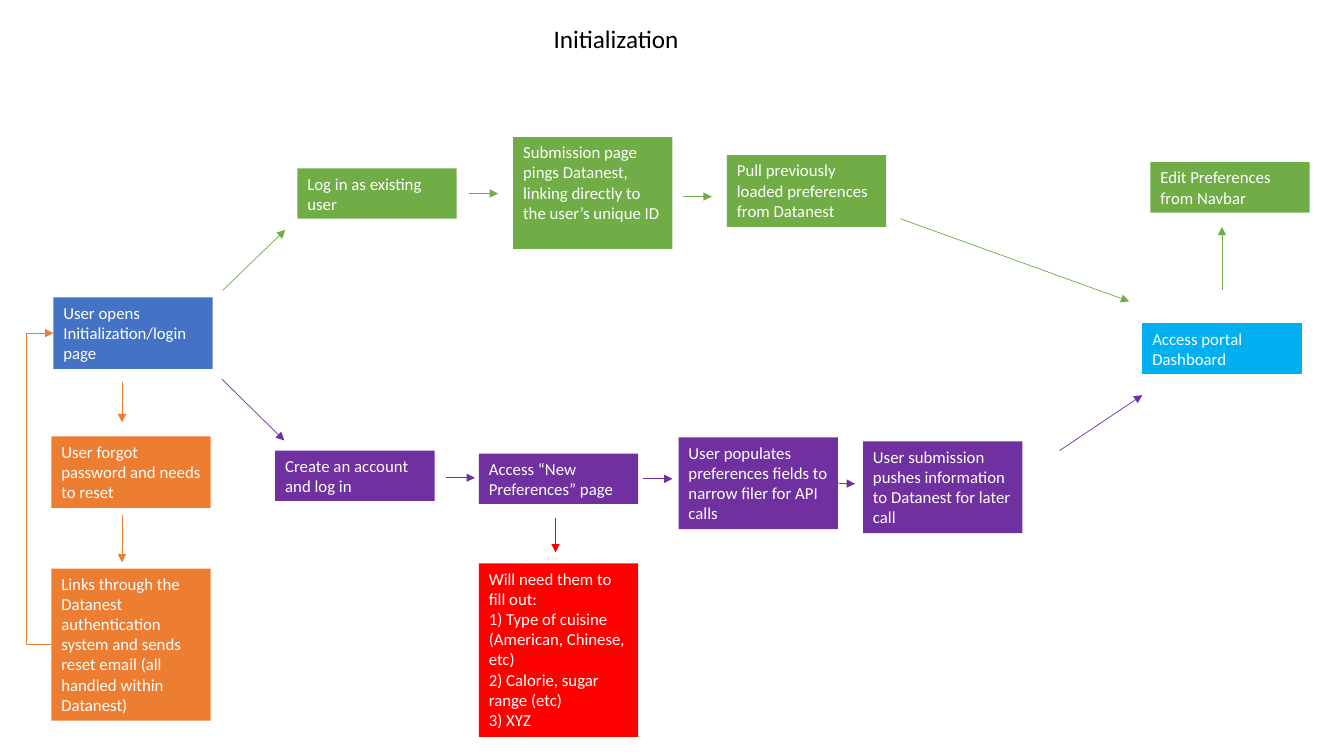
from lxml import etree
from pptx import Presentation
from pptx.dml.color import RGBColor
from pptx.enum.shapes import MSO_CONNECTOR, MSO_SHAPE
from pptx.enum.text import MSO_ANCHOR, PP_ALIGN
from pptx.oxml.ns import qn
from pptx.util import Inches, Pt

RECTANGLE = MSO_SHAPE.RECTANGLE
STRAIGHT, ELBOW = MSO_CONNECTOR.STRAIGHT, MSO_CONNECTOR.ELBOW
TOP, LEFT, CENTER = MSO_ANCHOR.TOP, PP_ALIGN.LEFT, PP_ALIGN.CENTER
LEFT_SIDE, RIGHT_SIDE = 1, 3
STEP_WIDTH = 1.58

COLORS = {
    "start": "4472C4",
    "existing": "70AD47",
    "new": "7030A0",
    "reset": "ED7D31",
    "required": "FF0000",
    "portal": "00B0F0",
    "white": "FFFFFF",
    "black": "000000",
}


def color(name):
    return RGBColor.from_string(COLORS[name])


def add_arrow(kind, branch, x1, y1, x2, y2):
    arrow = slide.shapes.add_connector(
        kind, Inches(x1), Inches(y1), Inches(x2), Inches(y2))
    arrow.line.color.rgb = color(branch)
    arrow.line.width = Pt(0.5)
    etree.SubElement(arrow.line._get_or_add_ln(), qn("a:tailEnd"), type="triangle")
    etree.SubElement(arrow._element.spPr, qn("a:effectLst"))
    return arrow


prs = Presentation()
prs.slide_width, prs.slide_height = Inches(13.33), Inches(7.5)
slide = prs.slides.add_slide(prs.slide_layouts[5])

# Title
title = slide.shapes.title
title.left, title.top = Inches(3.74), Inches(0.18)
title.width, title.height = Inches(4.74), Inches(0.4)
title.text_frame.text = "Initialization"
title.text_frame.vertical_anchor = TOP
heading = title.text_frame.paragraphs[0]
heading.alignment = CENTER
heading.font.name, heading.font.size = "Calibri", Pt(18)
heading.font.color.rgb = color("black")

# Steps: key, branch, left, top, height, text
steps = [
    ("open", "start", 0.53, 2.95, 0.71, "User opens Initialization/login page"),
    ("forgot", "reset", 0.51, 4.33, 0.71, "User forgot password and needs to reset"),
    ("email", "reset", 0.51, 5.64, 1.51,
     "Links through the Datanest authentication system and sends reset email "
     "(all handled within Datanest)"),
    ("login", "existing", 2.95, 1.67, 0.5, "Log in as existing user"),
    ("ping", "existing", 5.09, 1.36, 1.11,
     "Submission page pings Datanest, linking directly to the user’s unique ID"),
    ("pull", "existing", 7.21, 1.54, 0.71,
     "Pull previously loaded preferences from Datanest"),
    ("edit", "existing", 11.41, 1.61, 0.5, "Edit Preferences from Navbar"),
    ("create", "new", 2.73, 4.47, 0.5, "Create an account and log in"),
    ("preferences", "new", 4.75, 4.5, 0.5, "Access “New Preferences” page"),
    ("populate", "new", 6.73, 4.34, 0.91,
     "User populates preferences fields to narrow filer for API calls"),
    ("push", "new", 8.56, 4.38, 0.91,
     "User submission pushes information to Datanest for later call"),
    ("fields", "required", 4.75, 5.59, 1.72,
     "Will need them to fill out:\n1) Type of cuisine (American, Chinese, etc)\n"
     "2) Calorie, sugar range (etc)\n3) XYZ"),
    ("dashboard", "portal", 11.33, 3.21, 0.5, "Access portal Dashboard"),
]
step_boxes = {}
for key, branch, left, top, height, text in steps:
    box = slide.shapes.add_shape(
        RECTANGLE, Inches(left), Inches(top), Inches(STEP_WIDTH), Inches(height))
    box.shadow.inherit = False
    box.fill.solid()
    box.fill.fore_color.rgb = color(branch)
    box.line.fill.background()
    box.text_frame.word_wrap = True
    box.text_frame.vertical_anchor = TOP
    box.text_frame.text = text
    for paragraph in box.text_frame.paragraphs:
        paragraph.alignment = LEFT
        paragraph.font.name, paragraph.font.size = "Calibri", Pt(12)
        paragraph.font.color.rgb = color("white")
    step_boxes[key] = box

dashboard_outline = step_boxes["dashboard"].line
dashboard_outline.color.rgb = color("portal")
dashboard_outline.width = Pt(0.75)

# Free-standing arrows between the steps of each branch
arrows = {
    "existing": [
        (2.21, 2.88, 2.83, 2.28),
        (4.65, 1.92, 4.94, 1.92),
        (6.77, 1.95, 7.06, 1.95),
        (8.93, 2.17, 11.2, 2.99),
        (12.12, 2.88, 12.12, 2.25),
    ],
    "new": [
        (2.2, 3.76, 2.82, 4.37),
        (4.42, 4.74, 4.71, 4.74),
        (6.38, 4.75, 6.67, 4.75),
        (10.51, 4.47, 11.33, 3.92),
    ],
    "reset": [(1.21, 3.79, 1.21, 4.19), (1.21, 5.11, 1.21, 5.58)],
    "required": [(5.51, 5.14, 5.51, 5.48)],
}
for branch, routes in arrows.items():
    for route in routes:
        add_arrow(STRAIGHT, branch, *route)

# Arrow leaving the populated preferences
populate_to_push = add_arrow(STRAIGHT, "new", 8.31, 4.8, 8.48, 4.8)
populate_to_push.begin_connect(step_boxes["populate"], RIGHT_SIDE)

# Loop from the reset email back to the login page
reset_loop = add_arrow(ELBOW, "reset", 0.51, 6.4, 0.53, 3.3)
reset_loop.begin_connect(step_boxes["email"], LEFT_SIDE)
reset_loop.end_connect(step_boxes["open"], LEFT_SIDE)
bend = reset_loop._element.spPr.find(qn("a:prstGeom")).get_or_add_avLst()
etree.SubElement(bend, qn("a:gd"), name="adj1", fmla="val -1250000")

prs.save("out.pptx")
